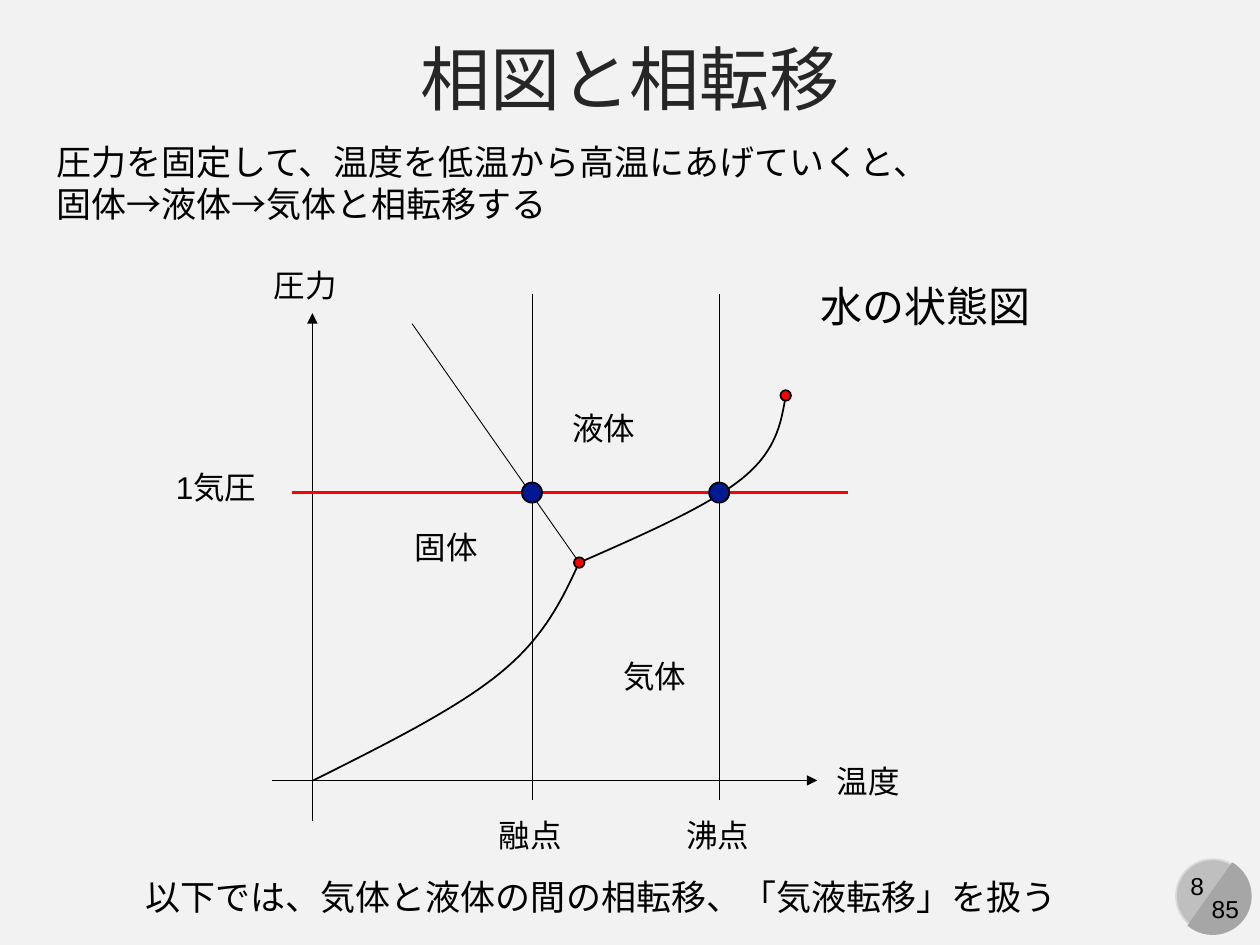
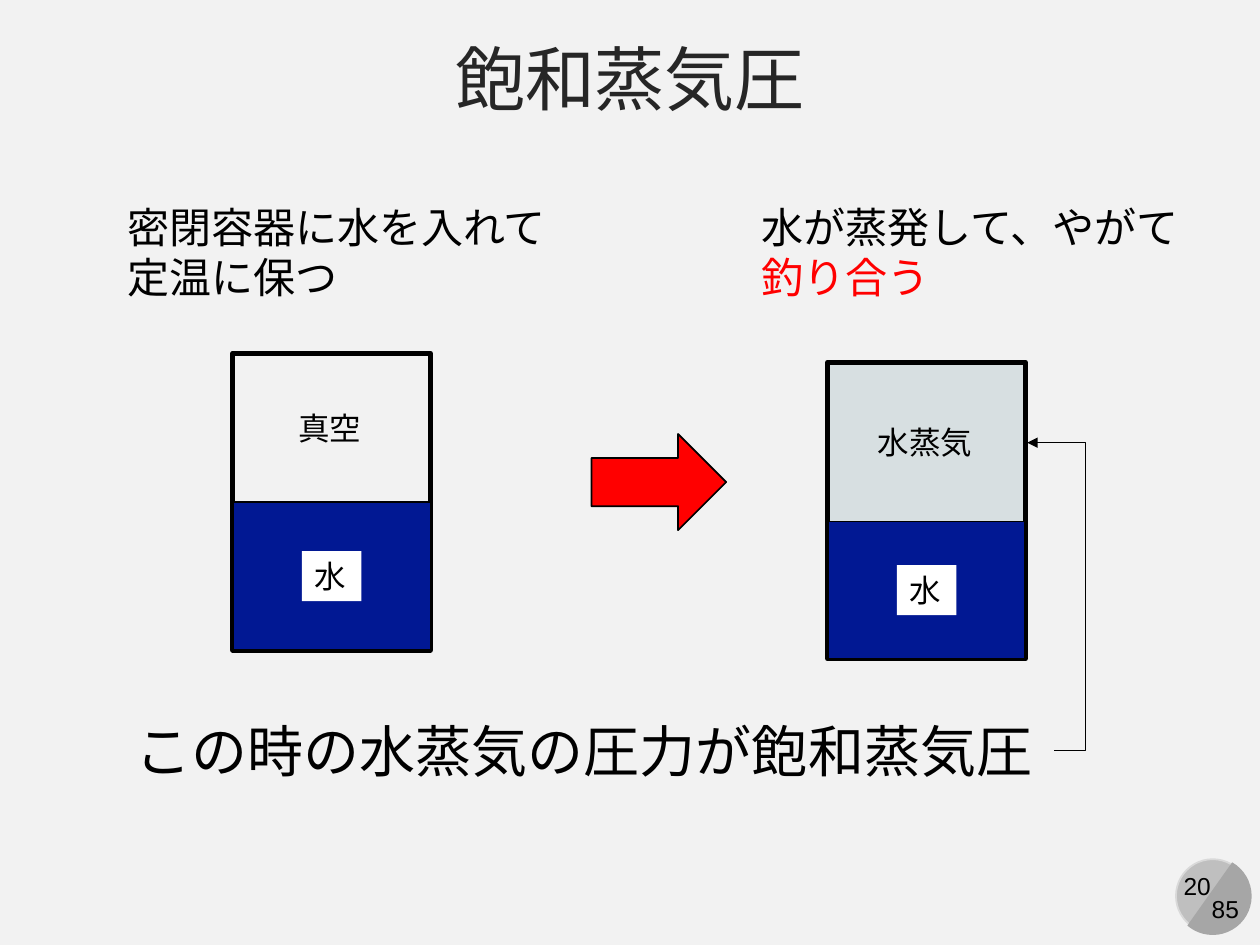
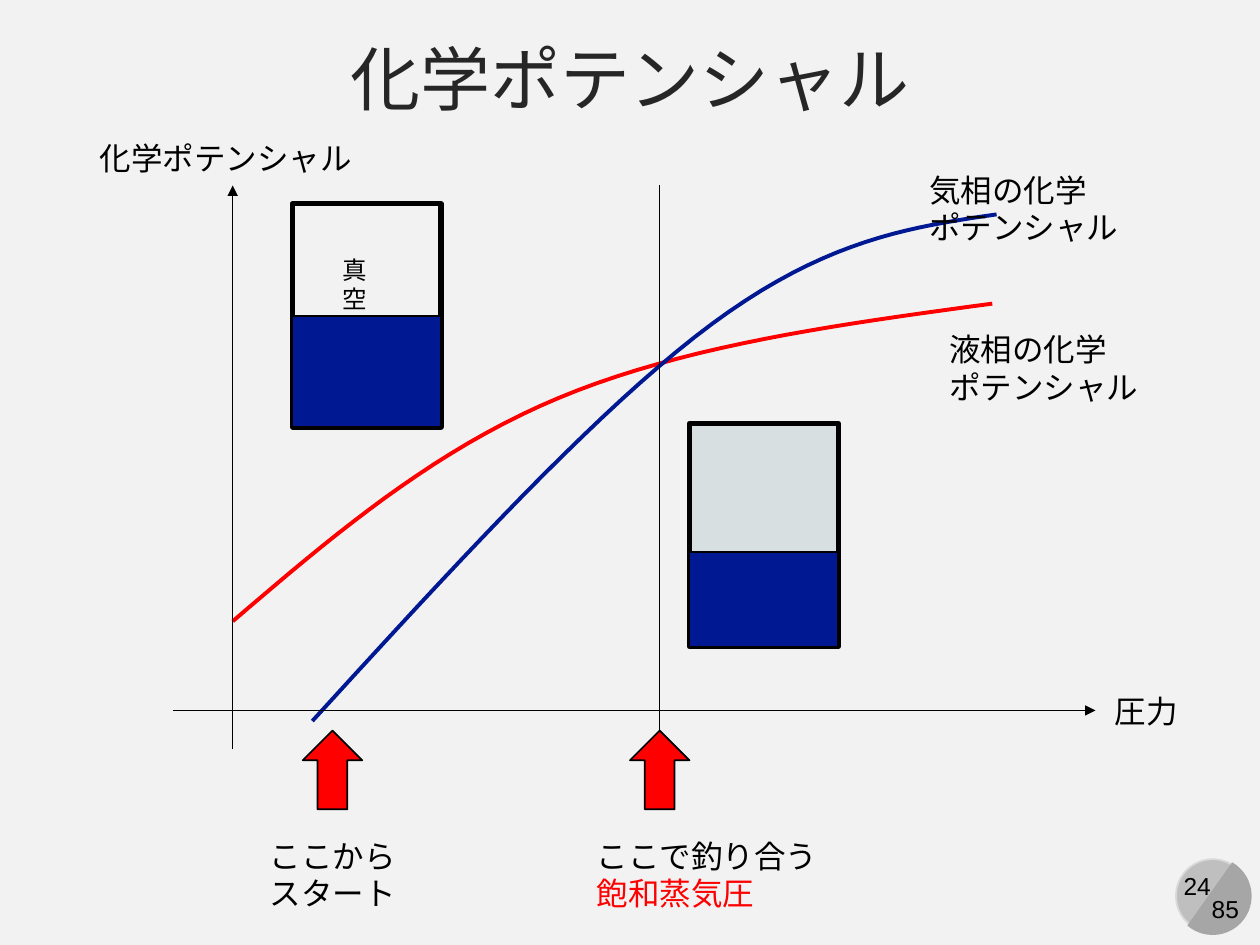
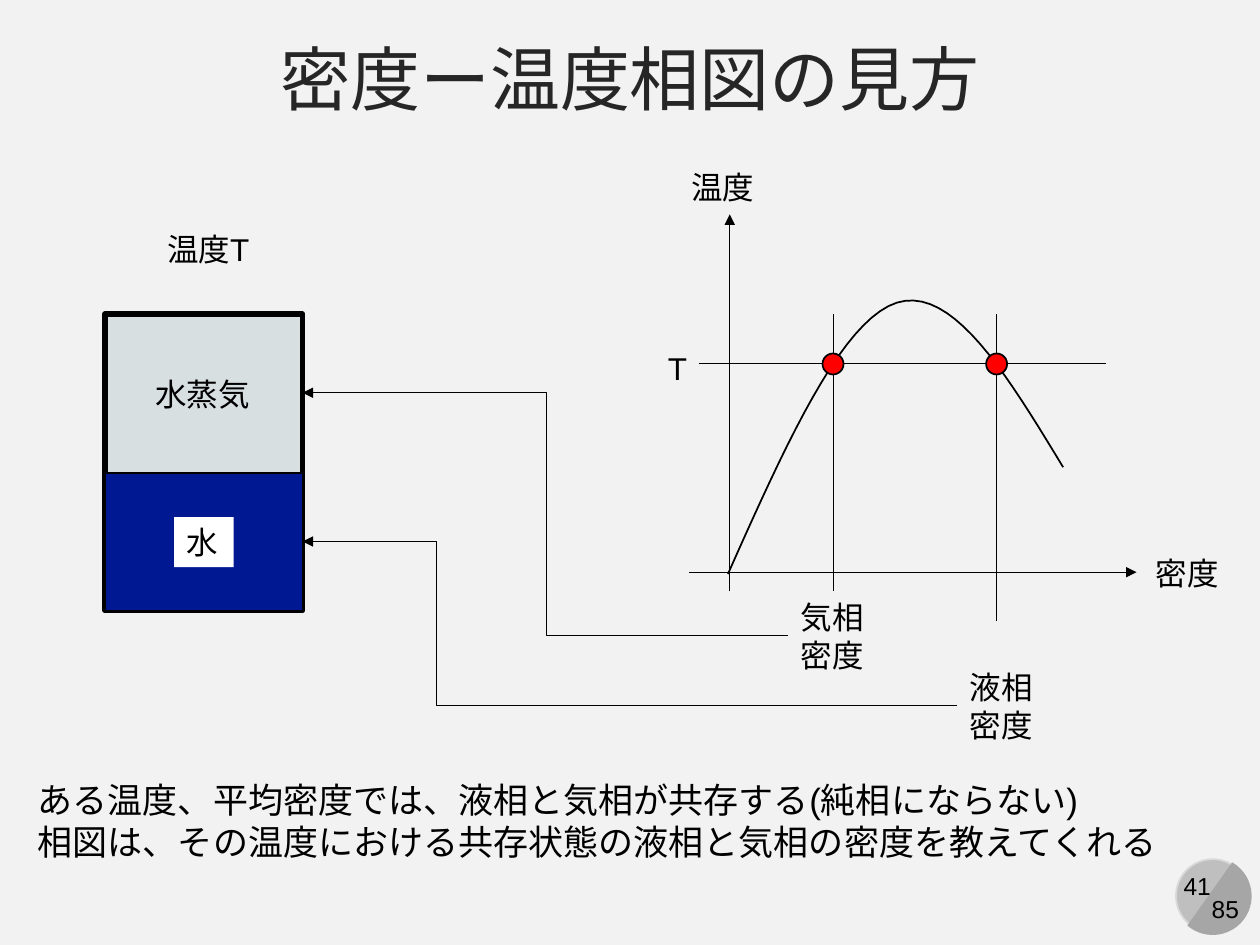
from dataclasses import dataclass
from math import ceil

from lxml.etree import SubElement
from pptx import Presentation
from pptx.dml.color import RGBColor
from pptx.enum.lang import MSO_LANGUAGE_ID as Language
from pptx.enum.shapes import MSO_CONNECTOR as Link, MSO_SHAPE as Shape
from pptx.enum.text import MSO_ANCHOR as Anchor, PP_ALIGN as Align
from pptx.oxml.ns import qn
from pptx.util import Pt


@dataclass(frozen=True)
class Theme:
    font: str = "Arial"
    paper: str = "F2F2F2"
    ink: str = "000000"
    heading: str = "262626"
    red: str = "FF0000"
    water: str = "011893"
    vapour: str = "D7DFE1"
    white: str = "FFFFFF"
    badge: str = "BFBFBF"
    badge_edge: str = "D9D9D9"
    badge_shade: str = "A6A6A6"
    title: int = 40
    large: int = 32
    medium: int = 24
    body: int = 20
    label: int = 18
    small: int = 14
    hairline: float = 0.5
    thin: float = 1
    accent: float = 1.5
    curve: float = 2.25
    wall: float = 3


THEME = Theme()
TOTAL_PAGES = "85"
CURVE_STEPS = 20
BADGE_CENTRE = (693, 512)
TRIPLE_POINT = (331, 321.5)
CRITICAL_POINT = (449, 226)
ONE_ATMOSPHERE = 281.5
LARGE_VESSEL, SMALL_VESSEL = 113, 85
VESSEL_RIGHT = 173

PAGES = [
    ("相図と相転移", "8", [
        ("axes", (178.5, 446), 467, 179, "温度", "圧力"),
        ("curve", [(179, 446), (286, 384.5), TRIPLE_POINT]),
        ("curve", [TRIPLE_POINT, (424, 273.5), CRITICAL_POINT]),
        ("line", TRIPLE_POINT, (235.5, 185)),
        ("text", (349, 372), ["気体"]),
        ("text", (230, 298), ["固体"]),
        ("text", (320, 230), ["液体"]),
        ("dot", TRIPLE_POINT, 6, THEME.red),
        ("dot", CRITICAL_POINT, 6, THEME.red),
        ("line", (167, ONE_ATMOSPHERE), (484.5, ONE_ATMOSPHERE),
         THEME.red, THEME.accent),
        ("text", (93.5, 264), ["1気圧"]),
        ("guides", [(304, 457, "融点"), (411, 457, "沸点")],
         168, ONE_ATMOSPHERE, 11.5, THEME.water),
        ("text", (462, 157), ["水の状態図"], THEME.medium),
        ("text", (25, 77),
         ["圧力を固定して、温度を低温から高温にあげていくと、固体→液体→気体と相転移する"],
         THEME.body, {"width": 510}),
        ("text", (76, 497),
         ["以下では、気体と液体の間の相転移、「気液転移」を扱う"], THEME.body),
    ]),
    ("飽和蒸気圧", "20", [
        ("vessel", (133, 202), LARGE_VESSEL, 85, None, "真空", "水"),
        ("text", (65.5, 111.5), ["密閉容器に水を入れて", "定温に保つ"], THEME.medium),
        ("block_arrow", Shape.RIGHT_ARROW, (338, 248), (77, 55)),
        ("vessel", (473, 207), LARGE_VESSEL, 91, THEME.vapour, "水蒸気", "水"),
        ("text", (428, 111.5), ["水が蒸発して、やがて", "釣り合う"],
         THEME.medium, {"last_colour": THEME.red}),
        ("text", (70.5, 406), ["この時の水蒸気の圧力が飽和蒸気圧"], THEME.large),
        ("elbow", (602.5, 429), (587, 253), 620.5),
    ]),
    ("化学ポテンシャル", "24", [
        ("curve", [(133, 355), (319, 227.5), (567, 173.5)], THEME.red, THEME.curve),
        ("curve", [(178.5, 412), (407, 185), (569.5, 122.5)],
         THEME.water, THEME.curve),
        ("text", (535.5, 185), ["液相の化学", "ポテンシャル"]),
        ("text", (524, 94), ["気相の化学", "ポテンシャル"]),
        ("axes", (133, 406), 626, 106, "圧力", "化学ポテンシャル", (34, 22)),
        ("line", (377, 106), (377, 417.5)),
        ("vessel", (167, 116.5), SMALL_VESSEL, 64),
        ("text", (188.5, 142), ["真空"], THEME.small, {"width": 32}),
        ("vessel", (394, 242), SMALL_VESSEL, 73.5, THEME.vapour),
        ("pointer", 190, ["ここから", "スタート"]),
        ("pointer", 377, ["ここで釣り合う", "飽和蒸気圧"], {"last_colour": THEME.red}),
    ]),
    ("密度ー温度相図の見方", "41", [
        ("vessel", (60, 179.5), LARGE_VESSEL, 91, THEME.vapour, "水蒸気", "水"),
        ("axes", (417, 327), 649.5, 122.5, "密度", "温度", (23, 11)),
        ("curve", [(416, 328), (512.5, 173), (607.5, 267)]),
        ("line", (399.5, 207.5), (632, 207.5)),
        ("guides", [(476, 338, ""), (569.5, 355, "")], 179.5, 208, 12, THEME.red),
        ("text", (374.5, 196), ["T"]),
        ("text", (88.5, 128), ["温度T"]),
        ("leader", (450.5, 338), ["気相", "密度"], 224.5, 312),
        ("leader", (547, 378), ["液相", "密度"], 309.5, 249.5),
        ("text", (14.5, 441.5),
         ["ある温度、平均密度では、液相と気相が共存する(純相にならない)",
          "相図は、その温度における共存状態の液相と気相の密度を教えてくれる"], THEME.body),
    ]),
]


def rgb(value):
    return RGBColor.from_string(value)


def points(*values):
    return [Pt(value) for value in values]


def style_text(para, size, colour):
    for span in para.runs:
        span.font.name = THEME.font
        span.font.size = Pt(size)
        span.font.color.rgb = rgb(colour)
        span.font.language_id = Language.JAPANESE


def style_shape(shape, fill=None, edge=THEME.ink, width=THEME.thin):
    shape.shadow.inherit = False
    if fill:
        shape.fill.solid()
        shape.fill.fore_color.rgb = rgb(fill)
    else:
        shape.fill.background()
    if edge:
        shape.line.color.rgb = rgb(edge)
        shape.line.width = Pt(width)
    else:
        shape.line.fill.background()
    return shape


def add_block(page, kind, corner, size, **style):
    return style_shape(page.shapes.add_shape(kind, *points(*corner, *size)), **style)


def add_block_arrow(page, kind, corner, size):
    add_block(page, kind, corner, size, fill=THEME.red)


def add_dot(page, centre, size, fill, kind=Shape.OVAL, edge=THEME.ink):
    corner = [middle - size / 2 for middle in centre]
    return add_block(page, kind, corner, (size, size), fill=fill, edge=edge)


def text_width(lines, size):
    ems = [sum(0.55 if mark.isascii() else 1 for mark in line) for line in lines]
    return max(ems) * size + 16


def text_height(rows, size):
    return rows * size * 1.2 + 7


def add_text(page, corner, lines, size=THEME.label, options=None):
    options = options or {}
    natural = text_width(lines, size)
    width = options.get("width", natural)
    height = text_height(len(lines) * ceil(natural / width), size)
    box = page.shapes.add_textbox(*points(*corner, width, height))
    frame = box.text_frame
    frame.word_wrap = True
    frame.text = "\n".join(lines)
    for para in frame.paragraphs:
        style_text(para, size, THEME.ink)
    if "last_colour" in options:
        style_text(frame.paragraphs[-1], size, options["last_colour"])
    if "fill" in options:
        box.fill.solid()
        box.fill.fore_color.rgb = rgb(options["fill"])


def add_centred_text(page, centre, text, size=THEME.label, options=None):
    x, y = centre
    corner = (x - text_width([text], size) / 2, y - text_height(1, size) / 2)
    add_text(page, corner, [text], size, options)


def add_line(page, start, end, colour=THEME.ink, width=THEME.hairline,
             arrow=False, kind=Link.STRAIGHT):
    line = page.shapes.add_connector(kind, *points(*start, *end))
    line.line.color.rgb = rgb(colour)
    line.line.width = Pt(width)
    if arrow:
        SubElement(line.line._get_or_add_ln(), qn("a:tailEnd"), type="triangle")
    SubElement(line._element.spPr, qn("a:effectLst"))
    return line


def add_elbow(page, start, end, bend_x):
    line = add_line(page, start, end, arrow=True, kind=Link.ELBOW)
    ratio = (bend_x - start[0]) / (end[0] - start[0])
    guides = line._element.spPr.find(qn("a:prstGeom")).find(qn("a:avLst"))
    SubElement(guides, qn("a:gd"), name="adj1", fmla=f"val {round(ratio * 100000)}")


def add_leader(page, corner, lines, target_y, bend_x):
    add_text(page, corner, lines)
    left, top = corner
    middle = top + text_height(len(lines), THEME.label) / 2
    add_elbow(page, (left, middle), (VESSEL_RIGHT, target_y), bend_x)


def add_axes(page, origin, right, top, across_name, up_name, overhang=(23, 23)):
    x, y = origin
    before, below = overhang
    add_line(page, (x, y + below), (x, top), arrow=True)
    add_line(page, (x - before, y), (right, y), arrow=True)
    add_text(page, (right + 4, y - 14), [across_name])
    add_centred_text(page, (x - 3, top - 16), up_name)


def add_guides(page, guides, top, dot_y, dot_size, dot_colour):
    for x, bottom, name in guides:
        add_line(page, (x, top), (x, bottom))
        add_dot(page, (x, dot_y), dot_size, dot_colour)
        if name:
            add_centred_text(page, (x, bottom + 20), name)


def add_pointer(page, tip_x, lines, options=None):
    top, width, height = 417.5, 34, 45
    add_block_arrow(page, Shape.UP_ARROW, (tip_x - width / 2, top), (width, height))
    add_text(page, (tip_x - 43, top + 57), lines, THEME.label, options)


def bezier_point(controls, t):
    weights = ((1 - t) ** 3, 3 * t * (1 - t) ** 2, 3 * t ** 2 * (1 - t), t ** 3)
    return points(*(sum(w * value for w, value in zip(weights, axis))
                    for axis in zip(*controls)))


def add_curve(page, knots, colour=THEME.ink, width=THEME.thin):
    start, middle, end = knots
    pull = [(b - a) / 6 for a, b in zip(start, end)]
    enter = [m - p for m, p in zip(middle, pull)]
    leave = [m + p for m, p in zip(middle, pull)]
    first = [(a + b) / 2 for a, b in zip(start, enter)]
    last = [(a + b) / 2 for a, b in zip(leave, end)]
    vertices = [bezier_point(controls, step / CURVE_STEPS)
                for controls in ((start, first, enter, middle),
                                 (middle, leave, last, end))
                for step in range(1, CURVE_STEPS + 1)]
    builder = page.shapes.build_freeform(*points(*start))
    builder.add_line_segments(vertices, close=False)
    style_shape(builder.convert_to_shape(), edge=colour, width=width)


def add_vessel(page, corner, width, gas_height, gas=None, gas_name="", water_name=""):
    left, top = corner
    height = width * 1.5
    surface = top + gas_height
    middle = left + width / 2
    if gas:
        add_block(page, Shape.RECTANGLE, corner, (width, gas_height), fill=gas)
    add_block(page, Shape.RECTANGLE, corner, (width, height), width=THEME.wall)
    add_block(page, Shape.RECTANGLE, (left, surface),
              (width, height - gas_height), fill=THEME.water)
    if gas_name:
        add_centred_text(page, (middle, top + gas_height / 2), gas_name)
    if water_name:
        add_centred_text(page, (middle, (surface + top + height) / 2), water_name,
                         THEME.label, {"fill": THEME.white})


def add_page_badge(page, number):
    x, y = BADGE_CENTRE
    add_dot(page, BADGE_CENTRE, 42, THEME.badge, edge=THEME.badge_edge)
    shade = add_dot(page, BADGE_CENTRE, 44.5, THEME.badge_shade, Shape.CHORD, None)
    shade.adjustments[0] = 27
    shade.adjustments[1] = 141.42
    shade.rotation = 255
    add_centred_text(page, (x - 8, y - 6), number, THEME.small)
    add_centred_text(page, (x + 8, y + 7), TOTAL_PAGES, THEME.small)


def set_title(page, text):
    title = page.shapes.title
    title.left, title.top, title.width, title.height = points(0, 15, 720, 59)
    frame = title.text_frame
    frame.text = text
    frame.vertical_anchor = Anchor.MIDDLE
    para = frame.paragraphs[0]
    para.alignment = Align.CENTER
    style_text(para, THEME.title, THEME.heading)


DRAW = {
    "axes": add_axes,
    "block_arrow": add_block_arrow,
    "curve": add_curve,
    "dot": add_dot,
    "elbow": add_elbow,
    "guides": add_guides,
    "leader": add_leader,
    "line": add_line,
    "pointer": add_pointer,
    "text": add_text,
    "vessel": add_vessel,
}


def main():
    deck = Presentation()
    deck.slide_width, deck.slide_height = points(720, 540)
    paper = deck.slide_master.background.fill
    paper.solid()
    paper.fore_color.rgb = rgb(THEME.paper)
    title_only = deck.slide_layouts[5]
    for title, number, parts in PAGES:
        page = deck.slides.add_slide(title_only)
        add_page_badge(page, number)
        set_title(page, title)
        for kind, *details in parts:
            DRAW[kind](page, *details)
    deck.save("out.pptx")


if __name__ == "__main__":
    main()
